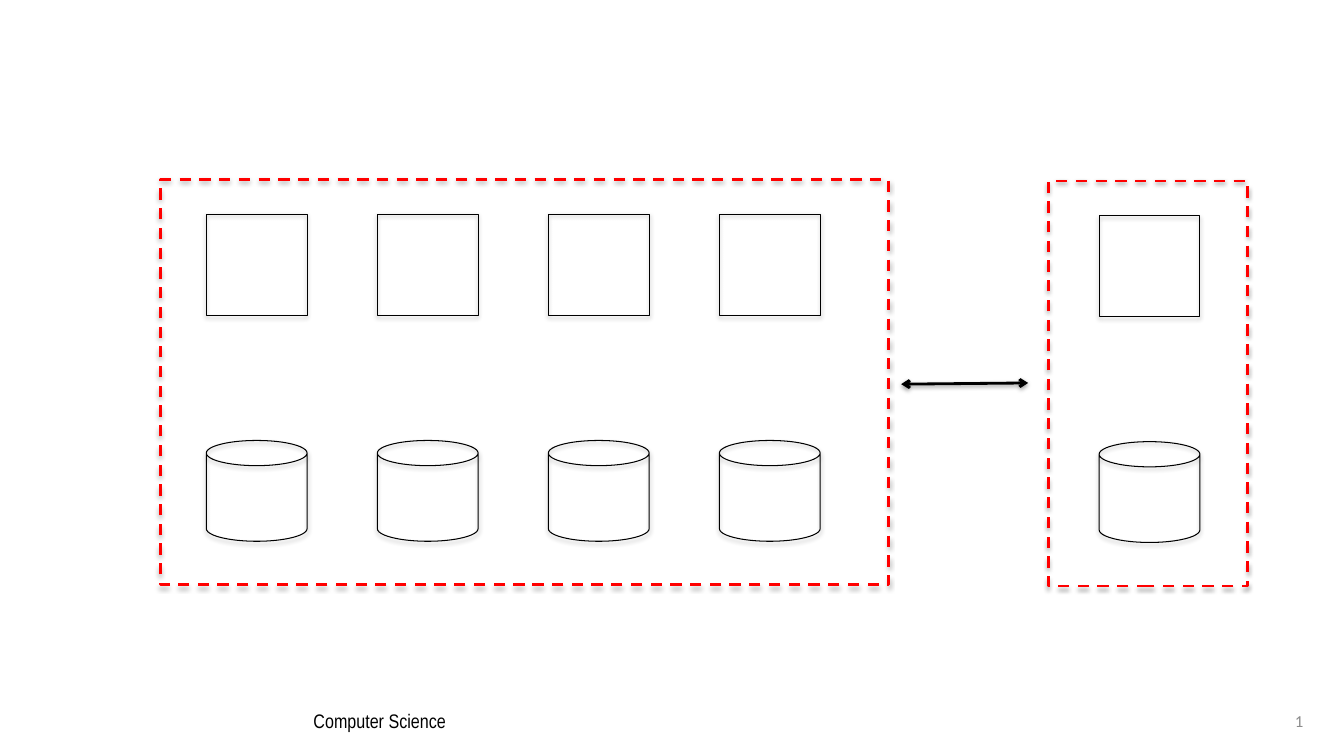
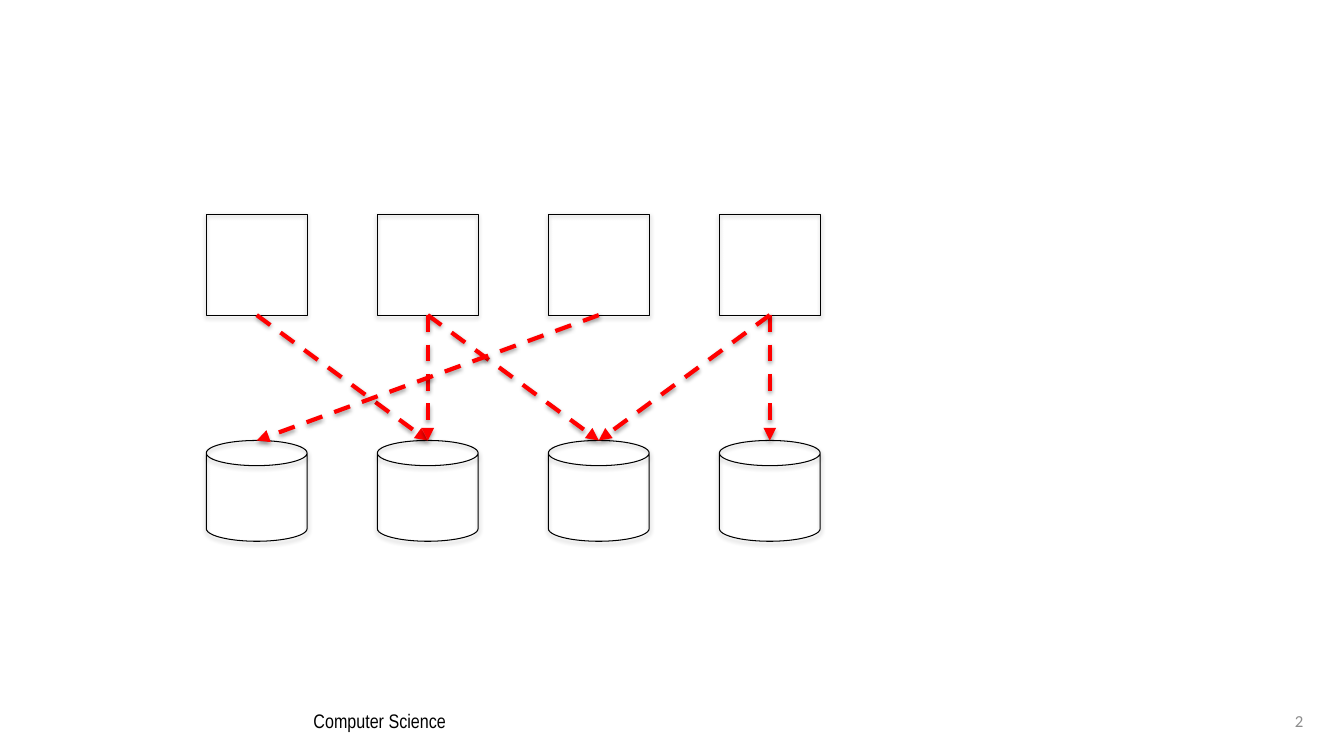
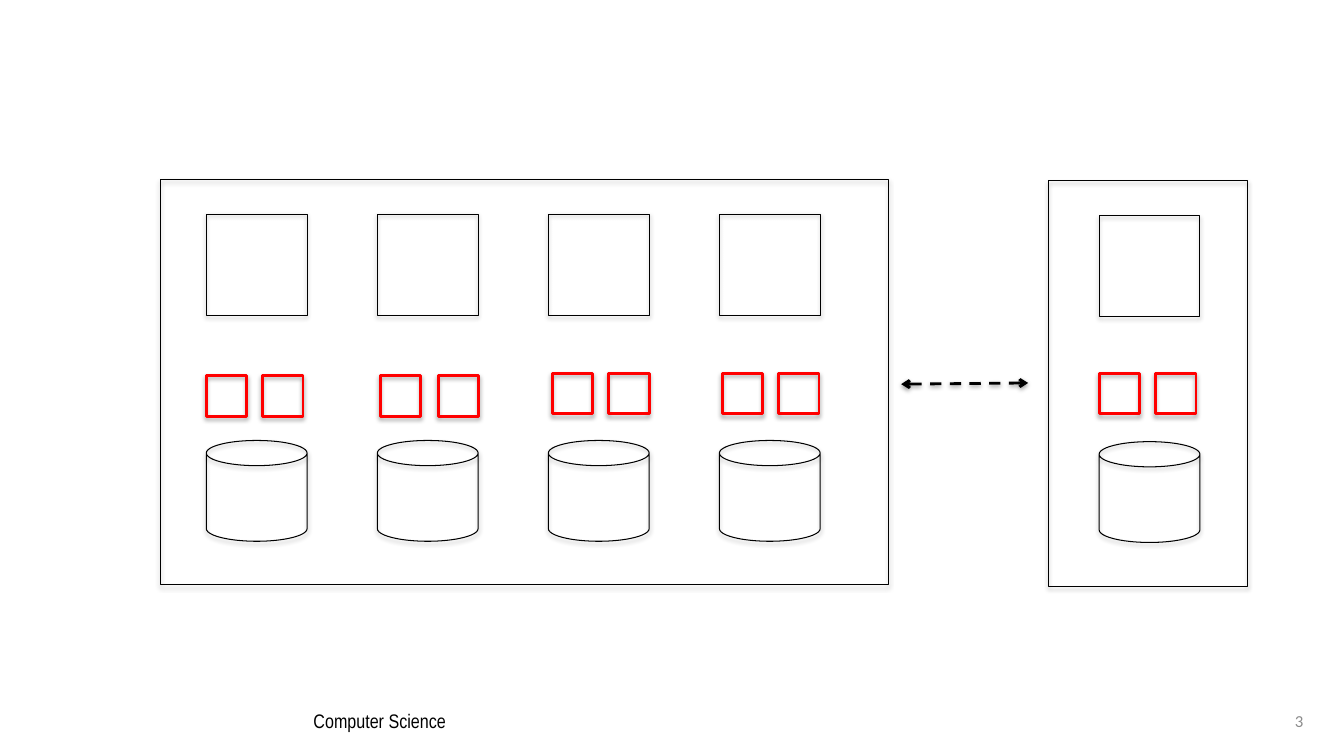
from dataclasses import dataclass

from lxml.etree import SubElement as sub_node
from pptx import Presentation
from pptx.dml.color import RGBColor as Rgb
from pptx.enum.dml import MSO_LINE as Dash
from pptx.enum.shapes import MSO_CONNECTOR as Wire, MSO_SHAPE as Form
from pptx.enum.text import MSO_ANCHOR as Anchor, MSO_AUTO_SIZE as Fit, PP_ALIGN as Align
from pptx.oxml.ns import qn
from pptx.util import Cm, Pt


@dataclass(frozen=True)
class Theme:
    """Colours, fonts, type sizes and line widths of the deck."""
    black: Rgb = Rgb(0, 0, 0)
    red: Rgb = Rgb(255, 0, 0)
    grey: Rgb = Rgb(0x8C, 0x8C, 0x8C)
    foot_font: str = "Arial Narrow"
    page_font: str = "Calibri"
    foot_size: int = 14
    page_size: int = 12
    thin: float = 0.75
    bold: float = 2
    heavy: float = 3


SIDE = 2.54                # width and height of a node or disk
TOP, LOW = 5.4, 11.1       # rows of nodes and disks
COLS = [5.2 + 4.31 * i for i in range(4)]
FAR, DROP = 27.7, 0.03     # column and small offset of the lone node


class Deck:
    """Holds the style and the current slide."""

    def __init__(self, theme):
        """Start an empty wide deck."""
        self.theme = theme
        self.show = Presentation()
        self.show.slide_width, self.show.slide_height = Cm(33.87), Cm(19.05)
        self.slide = None

    def page(self):
        """Add a blank slide with its footer and number."""
        look = self.theme
        self.slide = self.show.slides.add_slide(self.show.slide_layouts[6])
        foot = self.text("Computer Science", (7.65, 17.73, 6.32, 0.86),
                         look.foot_font, look.foot_size, look.black)
        foot.auto_size = Fit.SHAPE_TO_FIT_TEXT
        num = self.text(str(len(self.show.slides)), (28.02, 17.65, 5.08, 1.02),
                        look.page_font, look.page_size, look.grey)
        num.vertical_anchor = Anchor.MIDDLE
        num.paragraphs[0].alignment = Align.RIGHT

    def text(self, words, area, face, size, color):
        """Add one line of text and return its frame."""
        frame = self.slide.shapes.add_textbox(*map(Cm, area)).text_frame
        frame.word_wrap = True
        frame.text = words
        font = frame.paragraphs[0].font
        font.name, font.size, font.color.rgb = face, Pt(size), color
        return frame

    def shade(self, item, alpha, dist):
        """Give an item a soft shadow below it."""
        effects = sub_node(item._element.spPr, qn("a:effectLst"))
        cast = sub_node(effects, qn("a:outerShdw"), blurRad="40000",
                        dist=str(dist), dir="5400000", rotWithShape="0")
        tint = sub_node(cast, qn("a:srgbClr"), val=str(self.theme.black))
        sub_node(tint, qn("a:alpha"), val=str(alpha * 1000))

    def stroke(self, item, color, width, dash):
        """Set the line of a shape or arrow."""
        line = item.line
        line.color.rgb, line.width = color, Pt(width)
        if dash:
            line.dash_style = Dash.DASH

    def shape(self, form, area, color=None, width=None, dash=False):
        """Add an unfilled outline shape."""
        item = self.slide.shapes.add_shape(form, *map(Cm, area))
        item.fill.background()
        self.stroke(item, color or self.theme.black, width or self.theme.thin, dash)
        self.shade(item, 35, 23000)

    def arrow(self, start, end, color, width, dash, tail, head=None):
        """Add a straight arrow with one or two tips."""
        item = self.slide.shapes.add_connector(Wire.STRAIGHT, *map(Cm, start + end))
        self.stroke(item, color, width, dash)
        line = item.line._get_or_add_ln()
        if head:
            sub_node(line, qn("a:headEnd"), type=head)
        sub_node(line, qn("a:tailEnd"), type=tail)
        self.shade(item, 38, 20000)

    def stack(self, left, drop=0):
        """Add a node with its disk below."""
        self.shape(Form.RECTANGLE, (left, TOP + drop, SIDE, SIDE))
        self.shape(Form.CAN, (left, LOW + drop, SIDE, SIDE))

    def grid(self):
        """Add the four node and disk stacks."""
        for left in COLS:
            self.stack(left)

    def sites(self, broken, **line):
        """Add both framed sites and the arrow, broken or solid, between them."""
        look = self.theme
        self.grid()
        self.shape(Form.RECTANGLE, (4.04, 4.53, 18.36, 10.21), **line)
        self.stack(FAR, DROP)
        self.shape(Form.RECTANGLE, (26.42, 4.56, 5.03, 10.21), **line)
        self.arrow((22.71, 9.68), (25.91, 9.65), look.black, look.bold, broken,
                   "arrow", "arrow")

    def link(self, node, disk):
        """Point from a node to a disk, by column."""
        mid = SIDE / 2
        self.arrow((COLS[node] + mid, TOP + SIDE), (COLS[disk] + mid, LOW),
                   self.theme.red, self.theme.heavy, True, "triangle")

    def pair(self, left, top, step=1.42):
        """Add two small red blocks side by side."""
        for x in (left, left + step):
            self.shape(Form.RECTANGLE, (x, top, 1.02, 1.02),
                       self.theme.red, self.theme.bold)


def build():
    """Draw the three slides and return the deck."""
    look = Theme()
    deck = Deck(look)

    deck.page()
    deck.sites(False, color=look.red, width=look.bold, dash=True)

    deck.page()
    deck.grid()
    for node, disk in ((0, 1), (1, 2), (1, 1), (2, 0), (3, 3), (3, 2)):
        deck.link(node, disk)

    deck.page()
    deck.sites(True)
    deck.pair(5.2, 9.47)
    deck.pair(9.58, 9.47, 1.47)
    for left in (13.92, 18.2, FAR):
        deck.pair(left, 9.41)
    return deck


build().show.save("out.pptx")
